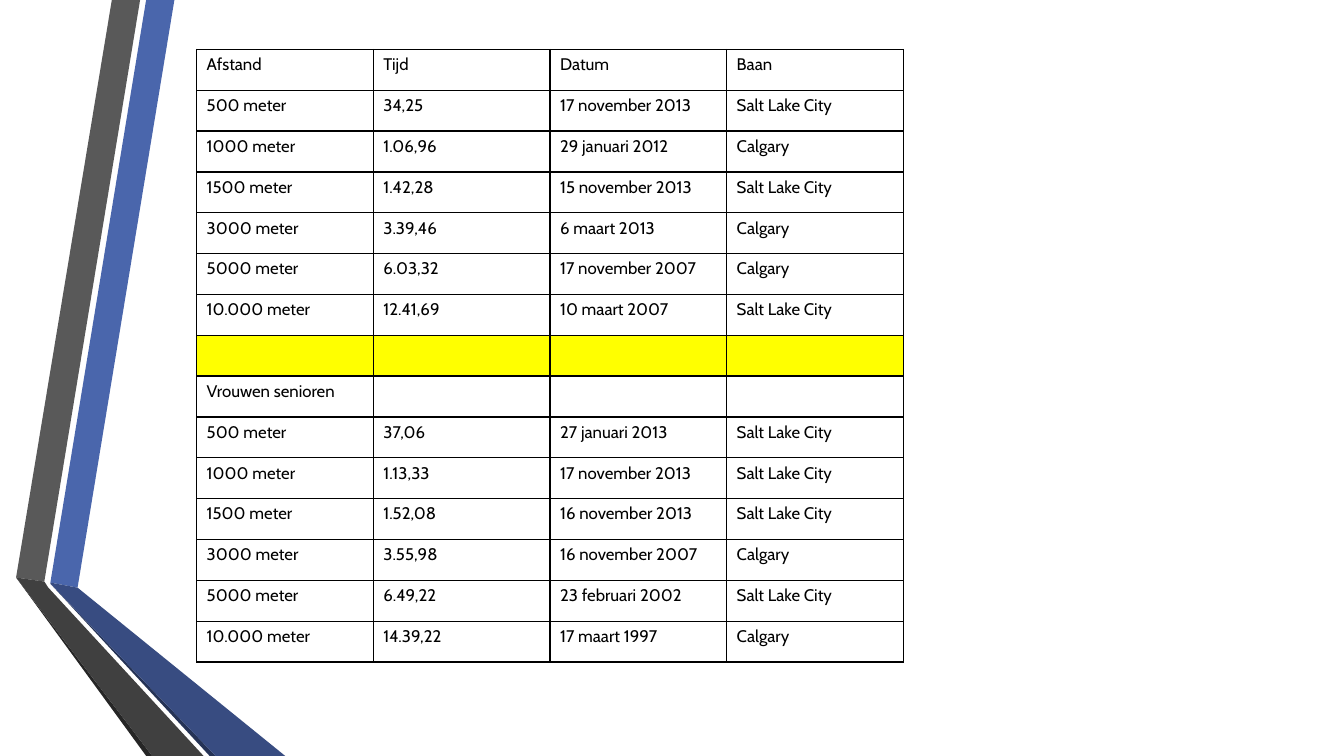
"""Build a slide with a table of speed skating records beside a folded ribbon."""

from dataclasses import dataclass

from lxml.etree import SubElement
from pptx import Presentation
from pptx.dml.color import RGBColor
from pptx.oxml.ns import qn
from pptx.slide import Slide
from pptx.table import _Cell
from pptx.util import Inches, Pt


@dataclass(frozen=True)
class Theme:
    font: str = "Cabin"
    size: int = 12
    ink: str = "000000"
    highlight: str = "FFFF00"
    blue: str = "4A66AC"
    blue_fold: str = "384C81"
    blue_edge: str = "253356"
    grey: str = "595959"
    grey_fold: str = "404040"
    grey_edge: str = "262626"
    border: float = 1


@dataclass(frozen=True)
class Band:
    color: str
    points: tuple[tuple[float, float], ...]


THEME = Theme()

BANDS = (
    Band(THEME.blue, ((0.5, 5.78), (0.77, 5.83), (1.73, 0), (1.45, 0))),
    Band(THEME.grey, ((1.39, 0), (1.11, 0), (0.16, 5.73), (0.44, 5.77))),
    Band(THEME.grey_edge, ((0.16, 5.73), (1.45, 7.5), (1.51, 7.5))),
    Band(THEME.blue_edge, ((0.5, 5.79), (2.08, 7.5), (2.14, 7.5))),
    Band(THEME.blue_fold, ((0.5, 5.79), (2.14, 7.5), (2.83, 7.5), (0.77, 5.83), (0.5, 5.78))),
    Band(THEME.grey_fold, ((2.02, 7.5), (0.48, 5.83), (0.44, 5.77), (0.16, 5.73), (1.51, 7.5))),
)

DIVIDER = ("", "", "", "")
RECORDS = (
    ("Afstand", "Tijd", "Datum", "Baan"),
    ("500 meter", "34,25", "17 november 2013", "Salt Lake City"),
    ("1000 meter", "1.06,96", "29 januari 2012", "Calgary"),
    ("1500 meter", "1.42,28", "15 november 2013", "Salt Lake City"),
    ("3000 meter", "3.39,46", "6 maart 2013", "Calgary"),
    ("5000 meter", "6.03,32", "17 november 2007", "Calgary"),
    ("10.000 meter", "12.41,69", "10 maart 2007", "Salt Lake City"),
    DIVIDER,
    ("Vrouwen senioren", "", "", ""),
    ("500 meter", "37,06", "27 januari 2013", "Salt Lake City"),
    ("1000 meter", "1.13,33", "17 november 2013", "Salt Lake City"),
    ("1500 meter", "1.52,08", "16 november 2013", "Salt Lake City"),
    ("3000 meter", "3.55,98", "16 november 2007", "Calgary"),
    ("5000 meter", "6.49,22", "23 februari 2002", "Salt Lake City"),
    ("10.000 meter", "14.39,22", "17 maart 1997", "Calgary"),
)


def draw_band(slide: Slide, band: Band) -> None:
    start, *rest = [(Inches(x), Inches(y)) for x, y in band.points]
    builder = slide.shapes.build_freeform(*start)
    builder.add_line_segments(rest, close=True)
    sp = builder.convert_to_shape()
    sp.shadow.inherit = False
    sp.fill.solid()
    sp.fill.fore_color.rgb = RGBColor.from_string(band.color)
    sp.line.fill.background()


def add_borders(cell: _Cell) -> None:
    tc_pr = cell._tc.get_or_add_tcPr()
    for i, side in enumerate(("a:lnL", "a:lnR", "a:lnT", "a:lnB")):
        ln = tc_pr.makeelement(qn(side), {"w": str(Pt(THEME.border))})
        fill = SubElement(ln, qn("a:solidFill"))
        SubElement(fill, qn("a:srgbClr"), val=THEME.ink)
        tc_pr.insert(i, ln)


def fill_cell(cell: _Cell, text: str, highlighted: bool) -> None:
    if highlighted:
        cell.fill.solid()
        cell.fill.fore_color.rgb = RGBColor.from_string(THEME.highlight)
    else:
        cell.fill.background()
    add_borders(cell)
    p = cell.text_frame.paragraphs[0]
    p.text = text
    for r in p.runs:
        r.font.name = THEME.font
        r.font.size = Pt(THEME.size)
        r.font.color.rgb = RGBColor.from_string(THEME.ink)
    if not text:
        SubElement(p._p, qn("a:endParaRPr"), sz=str(THEME.size * 100))


def draw_records(slide: Slide) -> None:
    frame = slide.shapes.add_table(
        len(RECORDS), len(RECORDS[0]), Inches(1.95), Inches(0.49), Inches(7.01), Inches(6.08)
    )
    table = frame.table
    table.first_row = False
    table.horz_banding = False
    for i, record in enumerate(RECORDS):
        for j, text in enumerate(record):
            fill_cell(table.cell(i, j), text, record == DIVIDER)


def main() -> None:
    prs = Presentation()
    prs.slide_width, prs.slide_height = Inches(13.33), Inches(7.5)
    slide = prs.slides.add_slide(prs.slide_layouts[6])
    for band in BANDS:
        draw_band(slide, band)
    draw_records(slide)
    prs.save("out.pptx")


if __name__ == "__main__":
    main()
